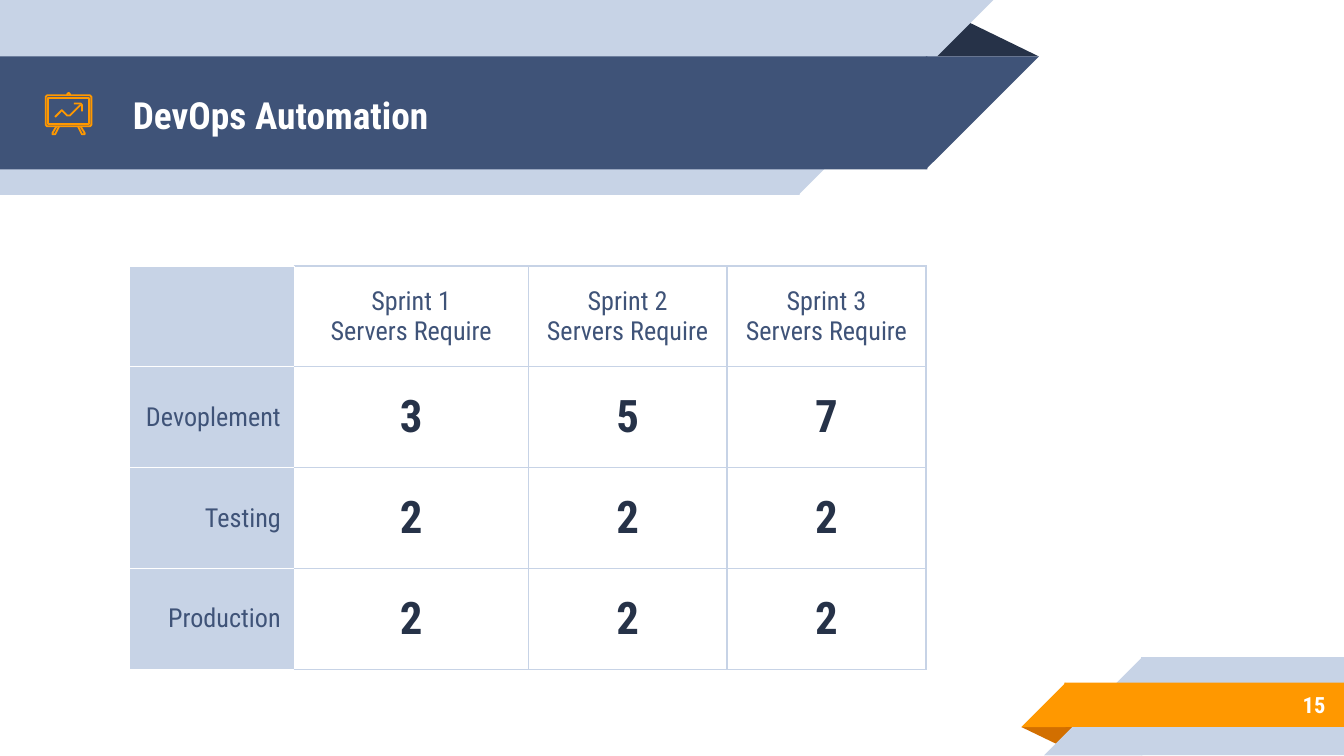
from lxml import etree
from pptx import Presentation
from pptx.dml.color import RGBColor
from pptx.enum.shapes import MSO_SHAPE as SHAPE
from pptx.enum.text import MSO_ANCHOR as ANCHOR, PP_ALIGN as ALIGN
from pptx.oxml.ns import qn
from pptx.util import Inches, Pt

COLORS = {"navy": "3F5378", "dark": "263248", "pale": "C7D3E6",
          "orange": "FF9800", "rust": "D26F00", "white": "FFFFFF"}
FONT = "Roboto Condensed"


def rgb(name):
    return RGBColor.from_string(COLORS[name])


def write(tf, text, size=14, color="navy", bold=False, align=ALIGN.LEFT):
    for i, line in enumerate(text.split("\n")):
        p = tf.paragraphs[0] if i == 0 else tf.add_paragraph()
        p.alignment = align
        r = p.add_run()
        r.text = line
        r.font.name, r.font.size, r.font.bold = FONT, Pt(size), bold
        r.font.color.rgb = rgb(color)


# Widescreen 16:9 slide
prs = Presentation()
prs.slide_width = Inches(10)
prs.slide_height = Inches(10 * 9 / 16)
s = prs.slides.add_slide(prs.slide_layouts[6])

# Header ribbon and footer ribbon, back to front; slants overlap bars by 0.01
RECT, FOLD, SLANT = SHAPE.RECTANGLE, SHAPE.ISOSCELES_TRIANGLE, SHAPE.RIGHT_TRIANGLE
ribbons = [
    (FOLD, 6.88, 0.14, 0.85, 0.28, "dark", 0),
    (RECT, 0, 0, 5.95, 1.45, "pale", 0),
    (SLANT, 5.94, 0, 1.45, 1.45, "pale", 180),
    (RECT, 0, 0.42, 6.9, 0.84, "navy", 0),
    (SLANT, 6.89, 0.42, 0.84, 0.84, "navy", 180),
    (FOLD, 7.6, 5.41, 0.43, 0.14, "rust", 180),
    (RECT, 8.49, 4.89, 1.51, 0.73, "pale", 0),
    (SLANT, 7.77, 4.89, 0.73, 0.73, "pale", 0),
    (RECT, 7.92, 5.08, 2.08, 0.33, "orange", 0),
    (SLANT, 7.6, 5.08, 0.33, 0.33, "orange", 0),
]
for kind, x, y, w, h, color, turn in ribbons:
    sp = s.shapes.add_shape(kind, Inches(x), Inches(y), Inches(w), Inches(h))
    sp.shadow.inherit = False
    sp.fill.solid()
    sp.fill.fore_color.rgb = rgb(color)
    sp.line.fill.background()
    sp.rotation = turn
    if kind == FOLD:
        sp.adjustments[0] = 0.324
    if kind == SLANT:
        sp._element.spPr.xfrm.set("flipH", "1")

# Title and slide number
labels = [
    ("DevOps Automation", 0.89, 0.43, 5.75, 0.84, 20, ALIGN.LEFT),
    ("15", 8.33, 5.07, 1.63, 0.35, 12, ALIGN.RIGHT),
]
for text, x, y, w, h, size, align in labels:
    tf = s.shapes.add_textbox(Inches(x), Inches(y), Inches(w), Inches(h)).text_frame
    tf.word_wrap = True
    tf.vertical_anchor = ANCHOR.MIDDLE
    tf.margin_left = tf.margin_right = tf.margin_top = tf.margin_bottom = Inches(0.1)
    write(tf, text, size=size, color="white", bold=True, align=align)

# Servers table
rows = [
    ["", "Sprint 1\nServers Require", "Sprint 2\nServers Require", "Sprint 3\nServers Require"],
    ["Devoplement", "3", "5", "7"],
    ["Testing", "2", "2", "2"],
    ["Production", "2", "2", "2"],
]
widths = [1.23, 1.74, 1.48, 1.48]
table = s.shapes.add_table(len(rows), len(widths), Inches(0.96), Inches(1.98),
                           Inches(sum(widths)), Inches(3)).table
table.first_row = table.horz_banding = False
for column, width in zip(table.columns, widths):
    column.width = Inches(width)

for i, row in enumerate(rows):
    table.rows[i].height = Inches(0.75)
    for j, text in enumerate(row):
        cell = table.cell(i, j)
        cell.vertical_anchor = ANCHOR.MIDDLE
        cell.margin_left = cell.margin_right = Inches(0.1)
        cell.margin_top = cell.margin_bottom = Inches(0.07)
        for side in "LRTB":
            white = j == 0 or (j == 1 and side == "L")
            ln = etree.SubElement(cell._tc.get_or_add_tcPr(), qn(f"a:ln{side}"), w=str(Pt(0.75)))
            fill = etree.SubElement(ln, qn("a:solidFill"))
            etree.SubElement(fill, qn("a:srgbClr"), val=COLORS["white" if white else "pale"])
        if j == 0:
            cell.fill.solid()
            cell.fill.fore_color.rgb = rgb("pale")
        else:
            cell.fill.background()
        if i and j:
            write(cell.text_frame, text, size=24, color="dark", bold=True, align=ALIGN.CENTER)
        elif text:
            write(cell.text_frame, text, align=ALIGN.CENTER if j else ALIGN.RIGHT)

# Chart board icon: outlines in hundredths of an inch
outlines = [
    ([(35, 71), (34, 72), (34, 93), (35, 94), (67, 94), (68, 93), (68, 72), (67, 71)], True),
    ([(50, 71), (50, 70), (51, 69), (52, 70), (52, 71)], False),
    ([(42, 94), (39, 99), (39, 100), (40, 100.5), (41, 100), (44, 94)], False),
    ([(58, 94), (61, 100), (62, 100.5), (63, 100), (63, 99), (60, 94)], False),
    ([(36, 73), (36, 92), (66.5, 92), (66.5, 73)], True),
    ([(60, 78), (52, 86), (51, 86.5), (50, 86), (46, 82), (41, 87)], False),
    ([(55, 77), (60, 77), (61, 78), (61, 83)], False),
]
for points, closed in outlines:
    builder = s.shapes.build_freeform(*points[0], scale=Inches(0.01))
    builder.add_line_segments(points[1:], close=closed)
    sp = builder.convert_to_shape()
    sp.shadow.inherit = False
    sp.fill.background()
    sp.line.color.rgb = rgb("orange")
    sp.line.width = Pt(0.96)

prs.save("out.pptx")
